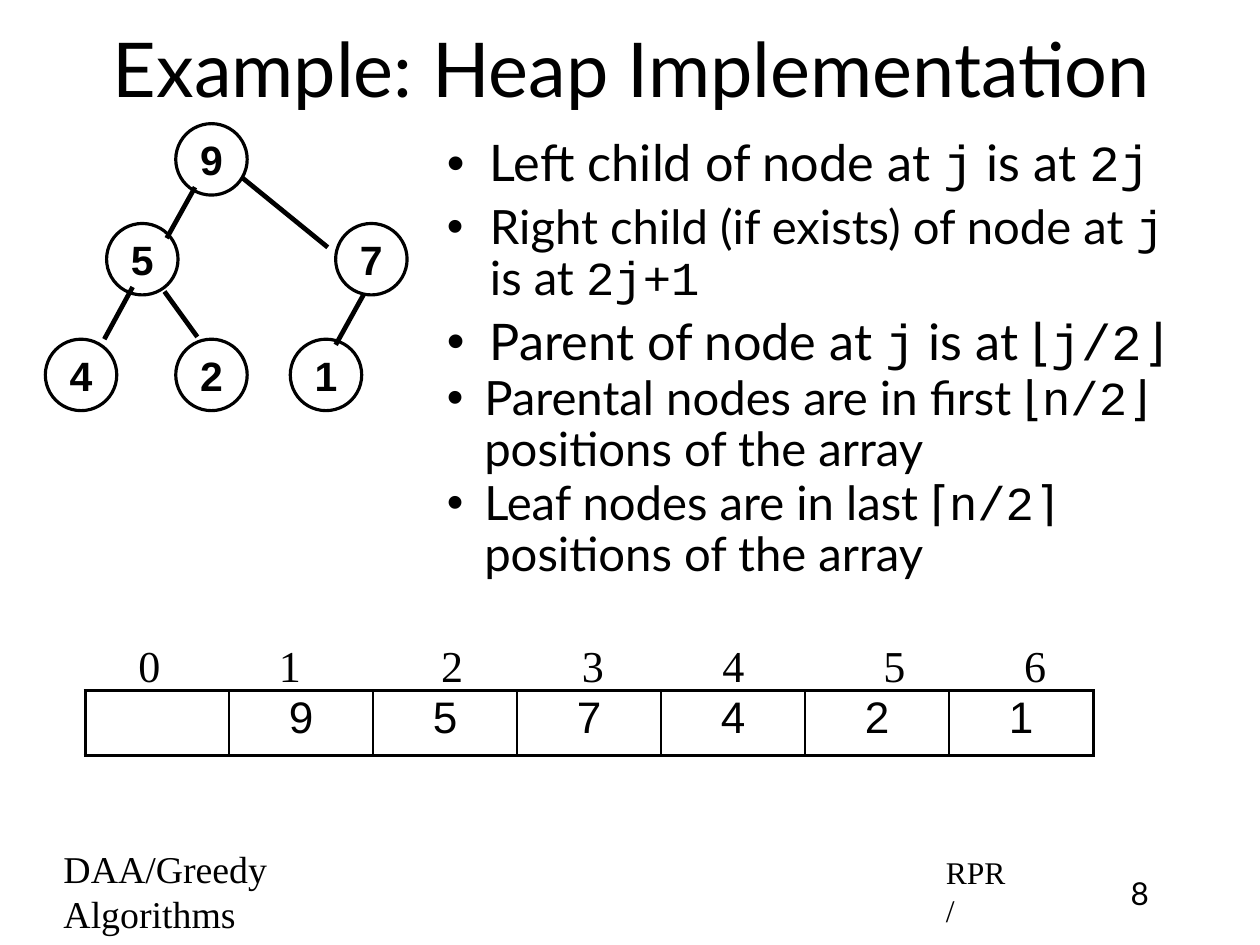
from lxml import etree
from pptx import Presentation
from pptx.dml.color import RGBColor
from pptx.enum.shapes import MSO_CONNECTOR, MSO_SHAPE
from pptx.enum.text import MSO_ANCHOR, PP_ALIGN
from pptx.oxml.ns import qn
from pptx.util import Inches, Pt

ELLIPSE, STRAIGHT = MSO_SHAPE.OVAL, MSO_CONNECTOR.STRAIGHT
TOP, MIDDLE = MSO_ANCHOR.TOP, MSO_ANCHOR.MIDDLE
LEFT, CENTER = PP_ALIGN.LEFT, PP_ALIGN.CENTER
BODY, CODE, SANS, SERIF = "Lato", "Courier New", "Arial", "Times New Roman"
BLACK = "000000"
INSET = Inches(0.06)
NODE_SIZE = 0.63

# value: left, top of each heap node
NODES = {"9": (1.55, 1.09), "5": (0.94, 1.97), "4": (0.4, 2.99),
         "2": (1.55, 2.99), "7": (2.96, 1.97), "1": (2.56, 2.99)}
EDGES = [(1.47, 2.1, 1.72, 1.65), (0.92, 2.99, 1.17, 2.53),
         (1.74, 2.97, 1.45, 2.57), (2.96, 3.04, 3.21, 2.59),
         (2.89, 2.18, 2.14, 1.57)]
HEAP_ARRAY = ["", "9", "5", "7", "4", "2", "1"]
INDEX_LEFTS = [1.12, 2.36, 3.79, 5.03, 6.27, 7.69, 8.93]

# size, left margin, hanging indent, space before
WIDE, TIGHT = (0.42, 0.38, 7), (0.37, 0.33, 2)
# Body and code runs alternate within each rule
RULES = [
    (32, WIDE, ["Left child of node at ", "j", " is at ", "2j"]),
    (30, WIDE, ["Right child (if exists) of node at ", "j", " is at ", "2j+1"]),
    (32, WIDE, ["Parent of node at ", "j", " is at ⌊", "j/2⌋"]),
    (30, TIGHT, ["Parental nodes are in first ⌊", "n/2⌋",
                 " positions of the array"]),
    (30, TIGHT, ["Leaf nodes are in last ⌈", "n/2⌉",
                 " positions of the array"]),
]


def color(hex_value):
    """Turn a hex string into a colour."""
    return RGBColor.from_string(hex_value)


def set_attributes(target, values):
    """Set every attribute named in a dict."""
    for name, value in values.items():
        setattr(target, name, value)


def add_run(paragraph, text, size, font, bold=False):
    """Append a formatted run."""
    run = paragraph.add_run()
    run.text = text
    set_attributes(run.font, {"size": Pt(size), "name": font, "bold": bold})
    run.font.color.rgb = color(BLACK)


def set_frame(frame, anchor, wrap=True):
    """Give a text frame its insets, anchor and wrapping."""
    set_attributes(frame, {
        "margin_left": INSET, "margin_right": INSET, "margin_top": INSET,
        "margin_bottom": INSET, "vertical_anchor": anchor, "word_wrap": wrap})


def add_label(slide, box, text, size, font, align=LEFT, anchor=MIDDLE, wrap=True):
    """Add a one-paragraph text box."""
    frame = slide.shapes.add_textbox(*map(Inches, box)).text_frame
    set_frame(frame, anchor, wrap)
    paragraph = frame.paragraphs[0]
    paragraph.alignment = align
    if anchor == MIDDLE:
        paragraph._p.get_or_add_pPr().set("marL", str(Inches(0.04)))
    add_run(paragraph, text, size, font)


def add_rules(slide, box):
    """Add the bulleted rules for finding nodes in the array."""
    frame = slide.shapes.add_textbox(*map(Inches, box)).text_frame
    set_frame(frame, TOP)
    for number, (size, (margin, hanging, before), parts) in enumerate(RULES):
        paragraph = frame.add_paragraph() if number else frame.paragraphs[0]
        set_attributes(paragraph, {"line_spacing": 0.9, "space_before": Pt(before)})
        properties = paragraph._p.get_or_add_pPr()
        properties.set("marL", str(Inches(margin)))
        properties.set("indent", str(-Inches(hanging)))
        etree.SubElement(properties, qn("a:buFont"), typeface=SANS)
        etree.SubElement(properties, qn("a:buChar"), char="•")
        for position, part in enumerate(parts):
            add_run(paragraph, part, size, CODE if position % 2 else BODY)


def add_node(slide, value, left, top):
    """Add one circular heap node."""
    node = slide.shapes.add_shape(
        ELLIPSE, *map(Inches, (left, top, NODE_SIZE, NODE_SIZE)))
    node.shadow.inherit = False
    node.fill.background()
    node.line.color.rgb = color(BLACK)
    node.line.width = Pt(2)
    set_frame(node.text_frame, MIDDLE)
    paragraph = node.text_frame.paragraphs[0]
    paragraph.alignment = CENTER
    add_run(paragraph, value, 26, SANS, bold=True)


def add_edge(slide, ends):
    """Add a line between a parent and its child."""
    edge = slide.shapes.add_connector(STRAIGHT, *map(Inches, ends))
    edge.line.color.rgb = color(BLACK)
    edge.line.width = Pt(3)
    etree.SubElement(edge._element.spPr, qn("a:effectLst"))


def set_borders(cell, widths):
    """Draw cell borders; widths map a side to points."""
    properties = cell._tc.get_or_add_tcPr()
    for position, (side, width) in enumerate(widths.items()):
        line = etree.Element(qn(f"a:ln{side}"), w=str(Pt(width)))
        fill = etree.SubElement(line, qn("a:solidFill"))
        etree.SubElement(fill, qn("a:srgbClr"), val=BLACK)
        properties.insert(position, line)


def add_heap_array(slide, left, top, column_width, height):
    """Add the one-row table that stores the heap."""
    count = len(HEAP_ARRAY)
    table = slide.shapes.add_table(
        1, count, *map(Inches, (left, top, column_width * count, height))).table
    set_attributes(table, {"first_row": False, "horz_banding": False})
    for position, value in enumerate(HEAP_ARRAY):
        table.columns[position].width = Inches(column_width)
        cell = table.cell(0, position)
        cell.fill.background()
        set_attributes(cell, {
            "margin_left": INSET, "margin_right": INSET, "margin_top": INSET,
            "margin_bottom": INSET, "vertical_anchor": TOP})
        set_borders(cell, {"L": 1 if position else 2.25,
                           "R": 1 if position < count - 1 else 2.25,
                           "T": 2.25, "B": 2.25})
        paragraph = cell.text_frame.paragraphs[0]
        set_attributes(paragraph, {"alignment": CENTER, "line_spacing": 0.9})
        if value:
            add_run(paragraph, value, 28, SANS)


def main():
    """Build the heap implementation slide."""
    deck = Presentation()
    set_attributes(deck, {"slide_width": Inches(11.11), "slide_height": Inches(8.33)})
    slide = deck.slides.add_slide(deck.slide_layouts[6])

    add_label(slide, (0.83, 0.07, 9.44, 1.04), "Example: Heap Implementation",
              48, BODY, align=CENTER)
    add_rules(slide, (3.84, 1.16, 6.68, 4.37))
    add_label(slide, (9.72, 7.64, 0.66, 0.42), "8", 20, BODY, CENTER, TOP)
    add_label(slide, (0.46, 7.62, 3.5, 0.47), "DAA/Greedy Algorithms", 24, SERIF)
    add_label(slide, (8.24, 7.64, 0.75, 0.42), "RPR/", 20, SERIF)

    for value, (left, top) in NODES.items():
        add_node(slide, value, left, top)
    for ends in EDGES:
        add_edge(slide, ends)

    add_heap_array(slide, 0.75, 6.09, 1.27, 0.57)
    for index, left in enumerate(INDEX_LEFTS):
        add_label(slide, (left, 5.59, 0.36, 0.54), str(index), 28, SERIF, wrap=False)
    deck.save("out.pptx")


main()
